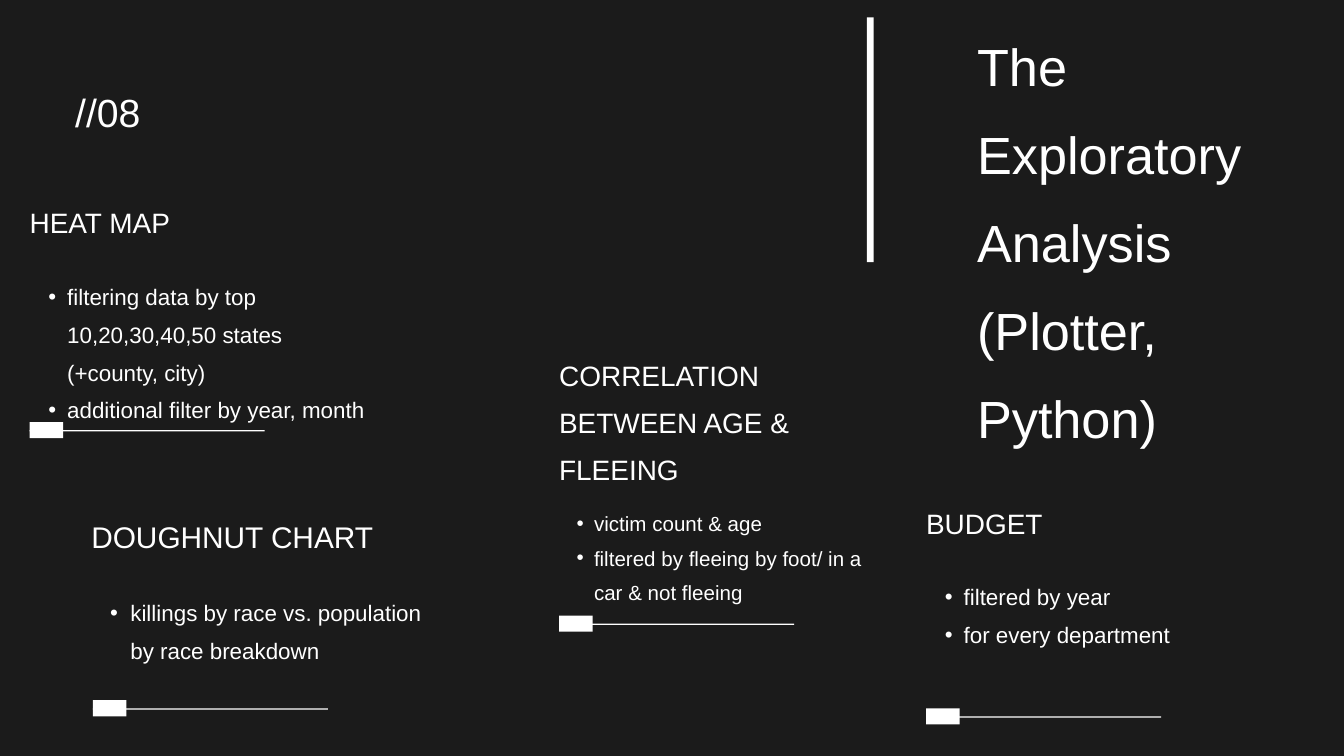
from lxml import etree
from pptx import Presentation
from pptx.dml.color import RGBColor
from pptx.enum.shapes import MSO_SHAPE
from pptx.enum.text import MSO_ANCHOR, MSO_AUTO_SIZE, PP_ALIGN
from pptx.oxml.ns import qn
from pptx.util import Inches, Pt

RECTANGLE = MSO_SHAPE.RECTANGLE
TOP = MSO_ANCHOR.TOP
GROW = MSO_AUTO_SIZE.SHAPE_TO_FIT_TEXT
LEFT = PP_ALIGN.LEFT
TITLE_ONLY = 5
FONT = "Arial"
WHITE = "FFFFFF"
BACKGROUND = "1B1B1B"

TITLE_LINES = ["The", "Exploratory Analysis", "(Plotter,", "Python)"]

SECTIONS = [
    {"left": 0.22, "width": 2.55, "heading": "HEAT MAP", "heading_box": (1.43, 0.28),
     "heading_size": 15, "bullet_box": (2.03, 1.31), "bullet_size": 12,
     "indent": (0.28, 0.14),
     "bullets": ["filtering data by top 10,20,30,40,50 states (+county, city)",
                 "additional filter by year, month"], "marker": (0.22, 3.14)},
    {"left": 0.68, "width": 2.65, "heading": "DOUGHNUT CHART", "heading_box": (3.75, 0.29),
     "heading_size": 16, "bullet_box": (4.38, 0.44), "bullet_size": 12,
     "indent": (0.29, 0.15),
     "bullets": ["killings by race vs. population by race breakdown"],
     "marker": (0.69, 5.21)},
    {"left": 4.16, "width": 2.48, "heading": "CORRELATION BETWEEN AGE & FLEEING",
     "heading_box": (2.57, 0.85), "heading_size": 15, "bullet_box": (3.73, 0.63),
     "bullet_size": 11, "indent": (0.26, 0.13),
     "bullets": ["victim count & age",
                 "filtered by fleeing by foot/ in a car & not fleeing"],
     "marker": (4.16, 4.58)},
    {"left": 6.89, "width": 2.55, "heading": "BUDGET", "heading_box": (3.67, 0.28),
     "heading_size": 15, "bullet_box": (4.26, 0.65), "bullet_size": 12,
     "indent": (0.28, 0.14),
     "bullets": ["filtered by year", "for every department"], "marker": (6.89, 5.27)},
]


def color(value):
    return RGBColor.from_string(value)


def add_bar(slide, left, top, width, height):
    bar = slide.shapes.add_shape(
        RECTANGLE, Inches(left), Inches(top), Inches(width), Inches(height))
    bar.shadow.inherit = False
    bar.fill.solid()
    bar.fill.fore_color.rgb = color(WHITE)
    bar.line.fill.background()


def add_marker(slide, left, top):
    add_bar(slide, left, top + 0.06, 1.75, 0.01)
    add_bar(slide, left, top, 0.25, 0.12)


def set_bullet(para, indent):
    margin, hanging = indent
    para.level = 1
    properties = para._p.get_or_add_pPr()
    properties.set("marL", str(Inches(margin)))
    properties.set("indent", str(-Inches(hanging)))
    bullet_color = etree.SubElement(properties, qn("a:buClr"))
    etree.SubElement(bullet_color, qn("a:srgbClr"), val=WHITE)
    etree.SubElement(properties, qn("a:buFont"), typeface=FONT)
    etree.SubElement(properties, qn("a:buChar"), char="•")


def fill_text(box, lines, size, indent=None):
    frame = box.text_frame
    frame.word_wrap = True
    frame.auto_size = GROW
    frame.vertical_anchor = TOP
    frame.margin_left = frame.margin_right = 0
    frame.margin_top = frame.margin_bottom = 0
    for index, line in enumerate(lines):
        para = frame.add_paragraph() if index else frame.paragraphs[0]
        if indent:
            set_bullet(para, indent)
        para.alignment = LEFT
        para.line_spacing = 1.4
        para.space_before = Pt(0)
        span = para.add_run()
        span.text = line
        span.font.name = FONT
        span.font.size = Pt(size)
        span.font.color.rgb = color(WHITE)


def add_text(slide, left, top, width, height, lines, size, indent=None):
    box = slide.shapes.add_textbox(
        Inches(left), Inches(top), Inches(width), Inches(height))
    fill_text(box, lines, size, indent)


def set_title(slide):
    title = slide.shapes.title
    title.left, title.top = Inches(7.27), Inches(0.07)
    title.width, title.height = Inches(2.94), Inches(2.68)
    fill_text(title, TITLE_LINES, 28)


def add_section(slide, section):
    left, width = section["left"], section["width"]
    add_marker(slide, *section["marker"])
    top, height = section["heading_box"]
    add_text(slide, left, top, width, height, [section["heading"]], section["heading_size"])
    top, height = section["bullet_box"]
    add_text(slide, left, top, width, height, section["bullets"],
             section["bullet_size"], section["indent"])


def main():
    deck = Presentation()
    deck.slide_width = Inches(10)
    deck.slide_height = Inches(10 * 9 / 16)
    slide = deck.slides.add_slide(deck.slide_layouts[TITLE_ONLY])
    slide.background.fill.solid()
    slide.background.fill.fore_color.rgb = color(BACKGROUND)
    set_title(slide)
    add_bar(slide, 6.45, 0.13, 0.05, 1.82)
    add_text(slide, 0.56, 0.52, 1.87, 0.39, ["//08"], 21)
    for section in SECTIONS:
        add_section(slide, section)
    deck.save("out.pptx")


if __name__ == "__main__":
    main()
